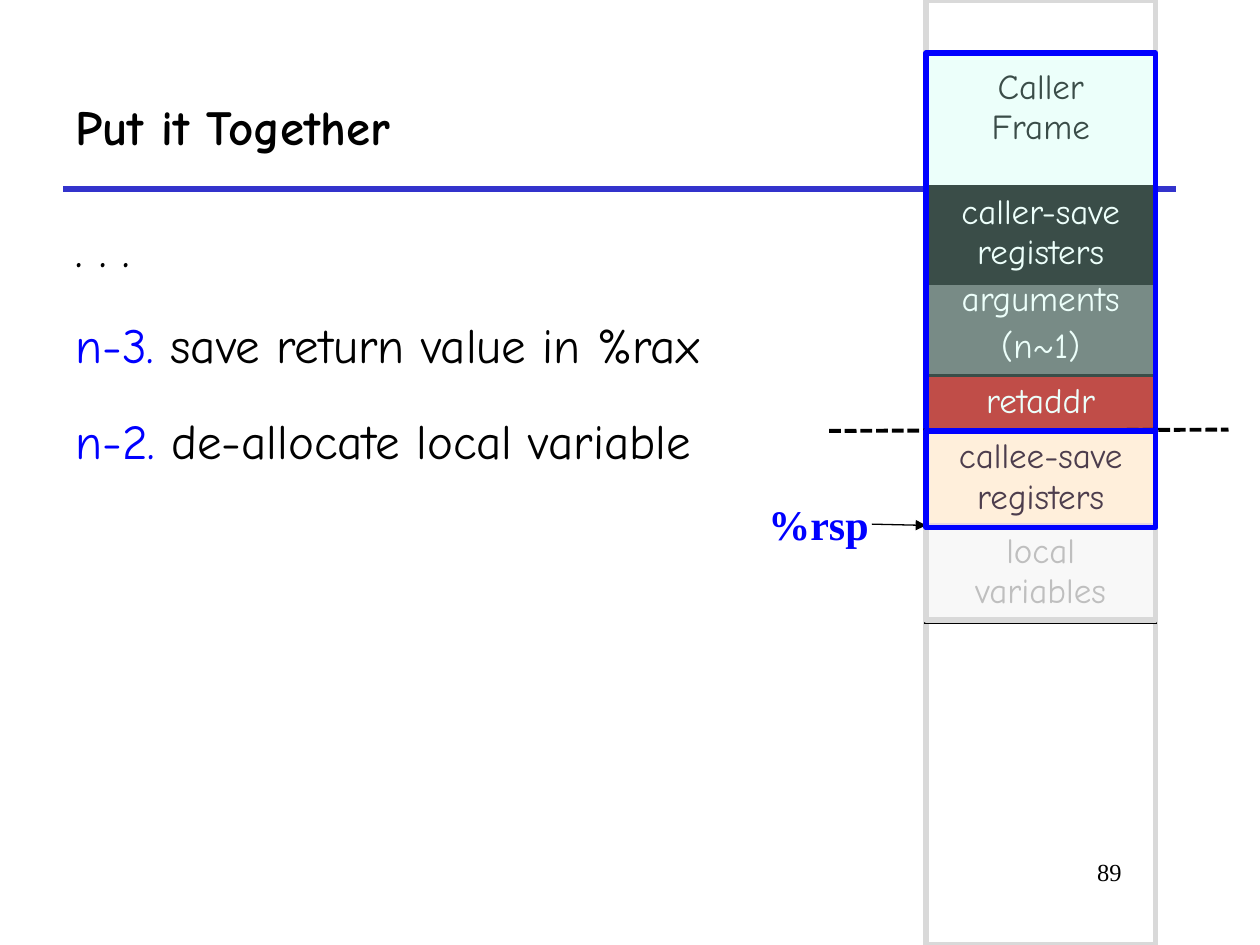
from lxml import etree
from pptx import Presentation
from pptx import util as u
from pptx.dml import color
from pptx.enum import dml, shapes, text
from pptx.oxml import ns

COMIC, TIMES = "Comic Neue", "Times New Roman"
BLACK, WHITE, BLUE, GREY = "000000", "FFFFFF", "0000FF", "D9D9D9"
STACK_LEFT, STACK_WIDTH = 7.35, 1.82

TITLE = "Put it Together"
STEPS = [
    [(". . .", BLACK)],
    [("n-3. ", BLUE), ("save return value in %rax", BLACK)],
    [("n-2. ", BLUE), ("de-allocate local variable", BLACK)],
]
CALLER_BLOCKS = [
    (2.17, 0.83, ["arguments", "(n~1)"], WHITE, ("595959", 100), 0.05),
    (1.48, 0.77, ["caller-save registers"], WHITE, (BLACK, 100), 0.05),
    (2.98, 0.43, ["retaddr"], WHITE, ("C00000", 100), 0.05),
    (0.42, 3, ["Caller\vFrame"], BLACK, None, 0.12),
]
CALLEE_BLOCKS = [
    (3.42, 0.77, ["callee-save registers"], BLACK, ("FFFFCC", 100), 0.05),
    (4.17, 0.77, ["local variables"], "BFBFBF", ("BFBFBF", 10), 0.05),
]
COLUMN = (0, 7.5, GREY, None)
CALLER_FRAME = (0.42, 3, BLUE, ("C2FFF0", 30))
CALLEE_FRAMES = [
    (4.17, 0.75, GREY, None),
    (3.42, 0.77, BLUE, ("FFCCFF", 30)),
]

deck = Presentation()
deck.slide_width, deck.slide_height = u.Inches(10), u.Inches(7.5)
slide = deck.slides.add_slide(deck.slide_layouts[6])


def rgb(value):
    return color.RGBColor.from_string(value)


def inches(*values):
    return [u.Inches(value) for value in values]


def apply(target, **values):
    for key, value in values.items():
        setattr(target, key, value)


def paint(fill, paint_spec):
    if paint_spec is None:
        fill.background()
        return
    value, opacity = paint_spec
    fill.solid()
    fill.fore_color.rgb = rgb(value)
    if opacity < 100:
        tint = fill._xPr.find(".//" + ns.qn("a:srgbClr"))
        etree.SubElement(tint, ns.qn("a:alpha"), val=str(opacity * 1000))


def write(paragraph, runs, size, font=COMIC, bold=False):
    for words, ink in runs:
        paragraph.add_line_break() if words == "\v" else None
        run = paragraph.add_run()
        run.text = words
        apply(run.font, size=u.Pt(size), name=font, bold=bold)
        run.font.color.rgb = rgb(ink)


def label(place, paragraphs, size, font=COMIC, bold=False, wrap=True,
          anchor=text.MSO_ANCHOR.TOP, **layout):
    frame = slide.shapes.add_textbox(*inches(*place)).text_frame
    apply(frame, word_wrap=wrap, vertical_anchor=anchor)
    gap = layout.pop("gap", 0)
    for index, runs in enumerate(paragraphs):
        paragraph = frame.add_paragraph() if index else frame.paragraphs[0]
        apply(paragraph, space_before=u.Pt(gap if index else 0), **layout)
        write(paragraph, runs, size, font, bold)


def line(start, end, ink, width, dash=None, arrow=False):
    connector = slide.shapes.add_connector(
        shapes.MSO_CONNECTOR.STRAIGHT, *inches(*start, *end))
    connector.line.color.rgb = rgb(ink)
    apply(connector.line, width=u.Pt(width), dash_style=dash)
    if arrow:
        etree.SubElement(connector.line._get_or_add_ln(), ns.qn("a:tailEnd"), type="triangle")
    etree.SubElement(connector._element.spPr, ns.qn("a:effectLst"))


def frame_box(top, height, ink, paint_spec):
    box = slide.shapes.add_shape(
        shapes.MSO_SHAPE.RECTANGLE, *inches(STACK_LEFT, top, STACK_WIDTH, height))
    box.shadow.inherit = False
    paint(box.fill, paint_spec)
    box.line.color.rgb = rgb(ink)
    box.line.width = u.Pt(3)


def border(cell):
    for index, side in enumerate(("lnL", "lnR", "lnT", "lnB")):
        edge = etree.Element(ns.qn("a:" + side), w=str(u.Pt(2.25)))
        solid = etree.SubElement(edge, ns.qn("a:solidFill"))
        etree.SubElement(solid, ns.qn("a:srgbClr"), val=BLACK)
        cell._tc.get_or_add_tcPr().insert(index, edge)


def stack_block(top, height, lines, ink, paint_spec, margin_top):
    table = slide.shapes.add_table(
        1, 1, *inches(STACK_LEFT, top, STACK_WIDTH, height)).table
    apply(table, first_row=False, horz_banding=False)
    cell = table.cell(0, 0)
    apply(cell, margin_left=u.Inches(0.1), margin_right=u.Inches(0.1),
          margin_top=u.Inches(margin_top), margin_bottom=u.Inches(0.05))
    paint(cell.fill, paint_spec)
    border(cell)
    cell.text = "\n".join(lines)
    for index, paragraph in enumerate(cell.text_frame.paragraphs):
        apply(paragraph, alignment=text.PP_ALIGN.CENTER,
              space_before=u.Pt(4 if index else 0))
        for run in paragraph.runs:
            apply(run.font, size=u.Pt(20), name=COMIC)
            run.font.color.rgb = rgb(ink)


line((0.5, 1.5), (9.33, 1.5), "3333CC", 3)
frame_box(*COLUMN)
label((7.58, 6.75, 1.42, 0.5), [[("89", BLACK)]], 14, TIMES,
      alignment=text.PP_ALIGN.RIGHT)
label((0.5, 0.5, 8.83, 1), [[(TITLE, BLACK)]], 28, bold=True,
      anchor=text.MSO_ANCHOR.MIDDLE)
label((0.5, 1.5, 9.5, 5.58), STEPS, 28, line_spacing=1.4, gap=7.8)
for block in CALLER_BLOCKS:
    stack_block(*block)
frame_box(*CALLER_FRAME)
for block in CALLEE_BLOCKS:
    stack_block(*block)
line((6.58, 3.42), (9.75, 3.41), BLACK, 2.25, dml.MSO_LINE.SQUARE_DOT)
label((6, 3.91, 1.01, 0.51), [[("%rsp", BLUE)]], 24, TIMES, bold=True, wrap=False)
line((6.92, 4.16), (STACK_LEFT, 4.17), BLACK, 0.75, arrow=True)
for frame in CALLEE_FRAMES:
    frame_box(*frame)

deck.save("out.pptx")
